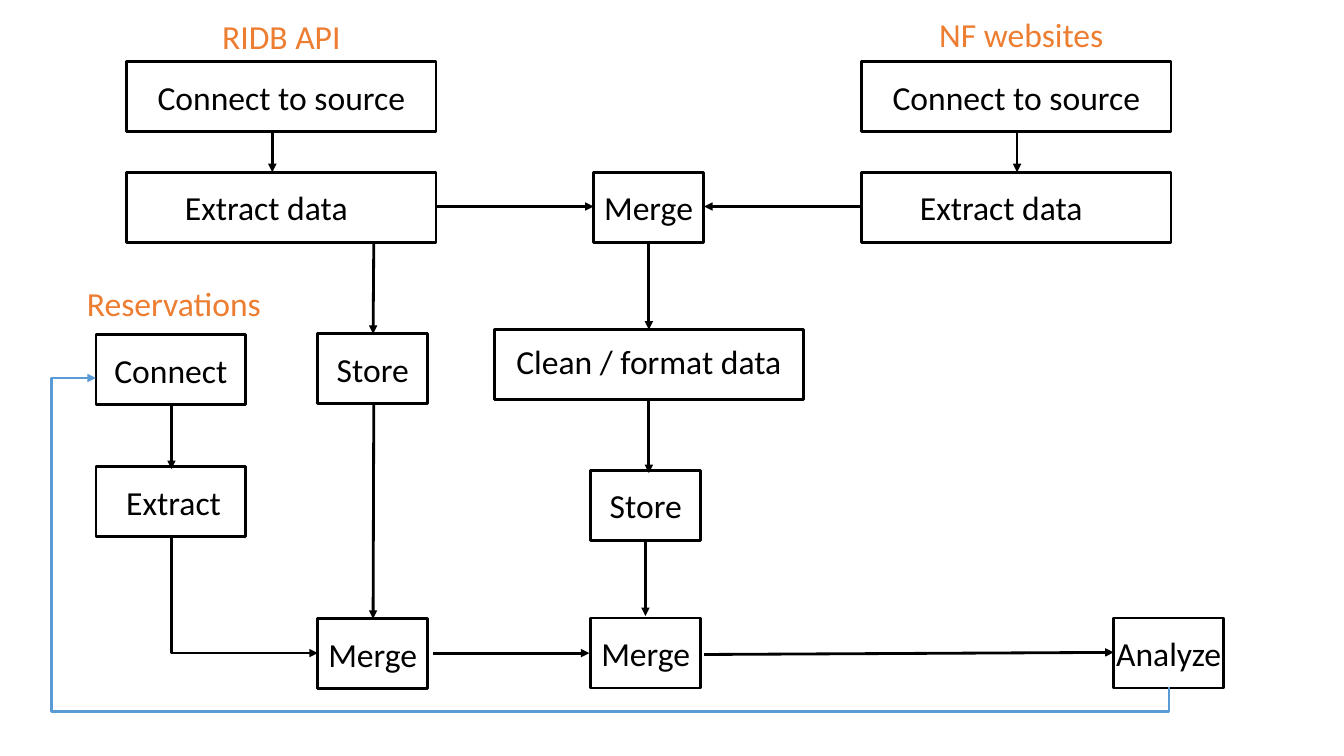
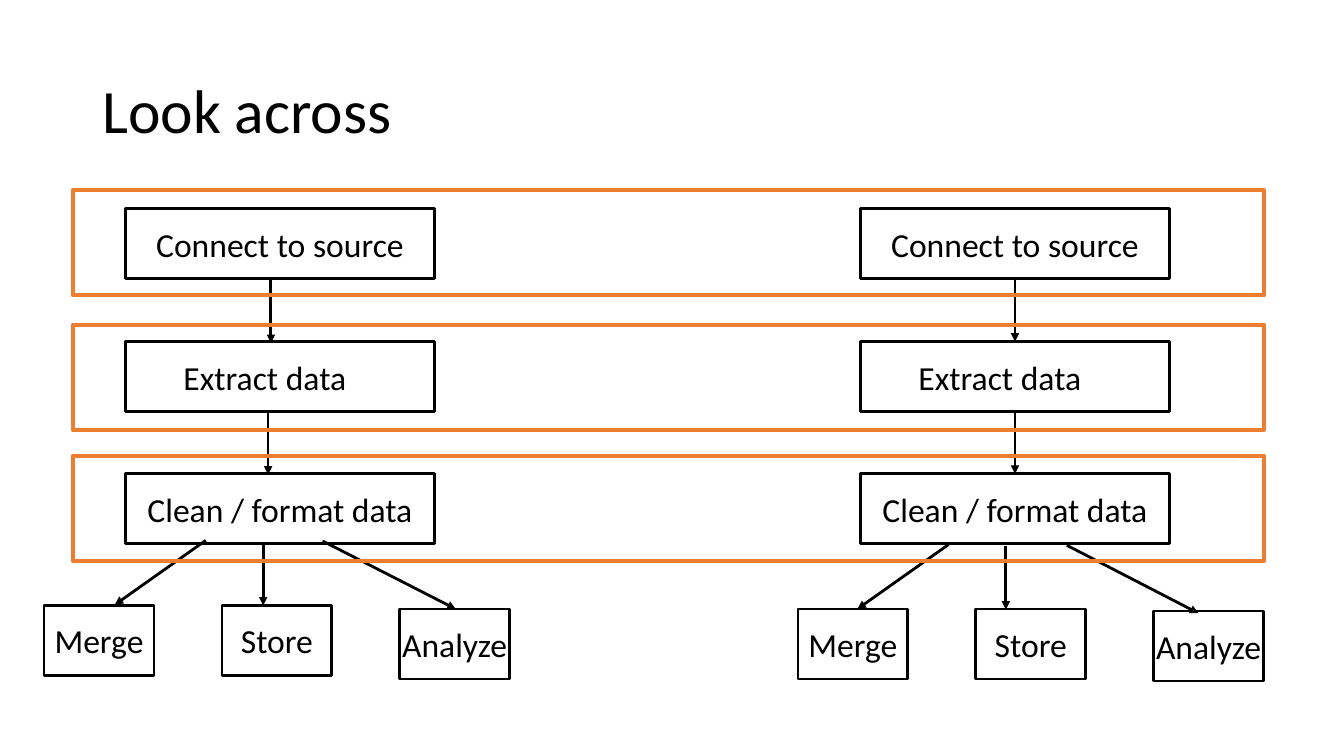
from lxml import etree
from pptx import Presentation
from pptx.dml.color import RGBColor
from pptx.enum.shapes import MSO_CONNECTOR, MSO_SHAPE
from pptx.enum.text import MSO_ANCHOR, PP_ALIGN
from pptx.oxml.ns import qn
from pptx.util import Pt

STRAIGHT = MSO_CONNECTOR.STRAIGHT
RECTANGLE = MSO_SHAPE.RECTANGLE
MIDDLE = MSO_ANCHOR.MIDDLE
LEFT, CENTER = PP_ALIGN.LEFT, PP_ALIGN.CENTER

COLORS = {"black": "000000", "orange": "ED7D31", "blue": "5B9BD5"}
FONT = "Calibri"
WIDE, MEDIUM, SMALL = 221, 107, 78.5
BOX_HEIGHT = 50
LABEL_HEIGHT = 36
LINE_WIDTH = 2
INSETS = {"Extract data": (0, 21.5), "Extract": (4, 0)}


def add_text(page, text, left, top, width, height, color="black", size=24,
             align=CENTER, spacing=None, wrap=False, insets=(0, 0), bottom=0,
             outline=None, outline_width=LINE_WIDTH):
    place = [Pt(value) for value in (left, top, width, height)]
    if outline:
        box = page.shapes.add_shape(RECTANGLE, *place)
        box.shadow.inherit = False
        box.fill.background()
        box.line.color.rgb = RGBColor.from_string(COLORS[outline])
        box.line.width = Pt(outline_width)
    else:
        box = page.shapes.add_textbox(*place)
    frame = box.text_frame
    frame.word_wrap = wrap
    frame.vertical_anchor = MIDDLE
    frame.margin_left, frame.margin_right = Pt(insets[0]), Pt(insets[1])
    frame.margin_top, frame.margin_bottom = Pt(0), Pt(bottom)
    if text:
        para = frame.paragraphs[0]
        para.alignment = align
        para.line_spacing = spacing
        span = para.add_run()
        span.text = text
        span.font.name = FONT
        span.font.size = Pt(size)
        span.font.color.rgb = RGBColor.from_string(COLORS[color])


def add_arrow(page, points, color="black"):
    points = [(Pt(x), Pt(y)) for x, y in points]
    if len(points) == 2:
        arrow = page.shapes.add_connector(STRAIGHT, *points[0], *points[1])
    else:
        builder = page.shapes.build_freeform(*points[0])
        builder.add_line_segments(points[1:], close=False)
        arrow = builder.convert_to_shape()
        arrow.fill.background()
    arrow.line.color.rgb = RGBColor.from_string(COLORS[color])
    arrow.line.width = Pt(LINE_WIDTH)
    properties = arrow.element.spPr
    etree.SubElement(properties.find(qn("a:ln")), qn("a:tailEnd"), type="triangle")
    etree.SubElement(properties, qn("a:effectLst"))


deck = Presentation()
deck.slide_width, deck.slide_height = Pt(960), Pt(540)
blank = deck.slide_layouts[6]

page = deck.slides.add_slide(blank)
for text, left, top, width in [
    ("Connect to source", 90.5, 44, WIDE),
    ("Extract data", 90.5, 123, WIDE),
    ("Connect to source", 615.5, 44, WIDE),
    ("Extract data", 615.5, 123, WIDE),
    ("Merge", 424, 123, SMALL),
    ("Store", 422, 336, SMALL),
    ("Merge", 422, 441.5, SMALL),
    ("Analyze", 795.5, 441.5, SMALL),
    ("Store", 227, 238.5, SMALL),
    ("Merge", 227, 442, SMALL),
    ("Connect", 68.5, 239, MEDIUM),
    ("Extract", 68.5, 333.5, MEDIUM),
]:
    add_text(page, text, left, top, width, BOX_HEIGHT,
             insets=INSETS.get(text, (0, 0)), outline="black")
add_text(page, "Clean / format data", 353, 235.5, WIDE, BOX_HEIGHT,
         bottom=5, outline="black")

for text, left, top, width in [
    ("RIDB API", 151, 8, 100),
    ("NF websites", 663, 6.5, 133),
    ("Reservations", 54, 198.5, 140.5),
]:
    add_text(page, text, left, top, width, LABEL_HEIGHT, color="orange")

for points in [
    [(194.5, 94), (194.5, 123)],
    [(726.5, 94), (726.5, 123)],
    [(312, 147.5), (424, 147.5)],
    [(615.5, 147.5), (503, 147.5)],
    [(463.5, 172), (463.5, 235.5)],
    [(463.5, 285), (463.5, 338)],
    [(461, 386.5), (461, 440)],
    [(267, 173), (266.5, 238.5)],
    [(267, 287.5), (266.5, 442)],
    [(122.5, 290), (122.5, 335)],
    [(122.5, 383), (122.5, 466.5), (227, 466.5)],
    [(309, 466.5), (421, 466.5)],
    [(503, 467.5), (795.5, 466)],
]:
    add_arrow(page, points)
add_arrow(page, [(835, 491), (835, 508.5), (36.5, 508.5), (36.5, 270), (68.5, 270)],
          color="blue")

page = deck.slides.add_slide(blank)
add_text(page, "Look across", 66, 29, 828, 104.5, size=44, align=LEFT,
         spacing=0.9, wrap=True, insets=(7.2, 7.2))

STEPS = [("Connect to source", 149), ("Extract data", 244), ("Clean / format data", 338.5)]
OUTCOMES = ["Merge", "Store", "Analyze"]
OUTCOME_STEP = 127
for step_left, outcome_left, outcome_tops in [
    (89.5, 31.5, (432.5, 432.5, 435)),
    (614.5, 570, (435, 435, 436.5)),
]:
    boxes = [(text, step_left, top, WIDE) for text, top in STEPS]
    for index, (text, top) in enumerate(zip(OUTCOMES, outcome_tops)):
        boxes.append((text, outcome_left + index * OUTCOME_STEP, top, SMALL))
    for text, left, top, width in boxes:
        add_text(page, text, left, top, width, BOX_HEIGHT,
                 insets=INSETS.get(text, (0, 0)), outline="black")

for points in [
    [(193.5, 200), (193.5, 245)],
    [(191.5, 294.5), (191.5, 339)],
    [(147, 386), (82, 432)],
    [(188, 388), (188, 432.5)],
    [(230.5, 386.5), (325.5, 435)],
    [(725, 198.5), (725, 244)],
    [(725, 293), (725, 338.5)],
    [(677.5, 389), (612.5, 435)],
    [(718.5, 390), (718.5, 435.5)],
    [(762, 389.5), (856, 438)],
]:
    add_arrow(page, points)

for top in (136, 232, 325.5):
    add_text(page, "", 52, top, 851, 75, outline="orange", outline_width=3)

deck.save("out.pptx")
